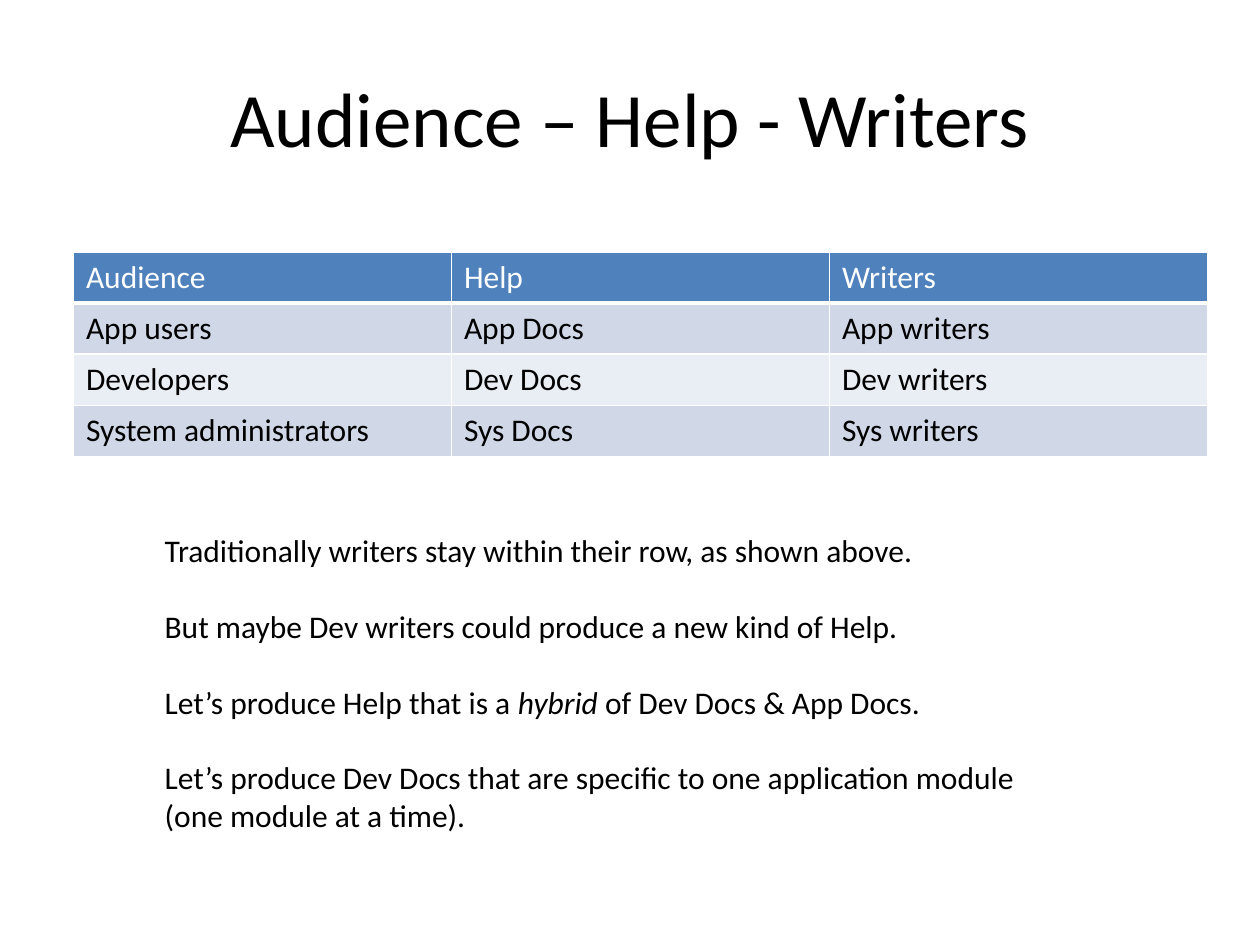
from dataclasses import dataclass

from lxml.etree import SubElement
from pptx import Presentation
from pptx.dml.color import RGBColor as RGB
from pptx.enum.text import MSO_ANCHOR as Anchor, MSO_AUTO_SIZE as AutoSize, PP_ALIGN as Align
from pptx.oxml.ns import qn
from pptx.util import Cm, Pt


@dataclass(frozen=True)
class Theme:
    font: str = "Calibri"
    title_size: float = 44
    body_size: float = 18
    paragraph_gap: float = 21.6
    text: str = "000000"
    header_text: str = "FFFFFF"
    header_fill: str = "4F81BD"
    bands: tuple = ("D0D8E8", "E9EDF4")
    border: str = "FFFFFF"
    border_width: float = 1
    header_rule: float = 3


THEME = Theme()

TITLE = "Audience – Help - Writers"
AUDIENCES = [
    ("Audience", "Help", "Writers"),
    ("App users", "App Docs", "App writers"),
    ("Developers", "Dev Docs", "Dev writers"),
    ("System administrators", "Sys Docs", "Sys writers"),
]
# Each paragraph is a list of (text, italic) runs; \v is a line break.
REMARKS = [
    [("Traditionally writers stay within their row, as shown above.", False)],
    [("But maybe Dev writers could produce a new kind of Help.", False)],
    [("Let’s produce Help that is a ", False), ("hybrid", True),
     (" of Dev Docs & App Docs.", False)],
    [("Let’s produce Dev Docs that are specific to one application module\v"
      "(one module at a time).", False)],
]


def style(p, size, color):
    p.font.name = THEME.font
    p.font.size = Pt(size)
    p.font.color.rgb = RGB.from_string(color)


def add_title(slide, box):
    sp = slide.shapes.title
    sp.left, sp.top, sp.width, sp.height = box
    tf = sp.text_frame
    tf.text = TITLE
    tf.vertical_anchor = Anchor.MIDDLE
    p = tf.paragraphs[0]
    p.alignment = Align.CENTER
    style(p, THEME.title_size, THEME.text)


def set_borders(cell, is_header):
    """Call before filling the cell: the schema puts lines ahead of the fill."""
    tc_pr = cell._tc.get_or_add_tcPr()
    for side in "LRTB":
        thick = is_header and side == "B"
        width = THEME.header_rule if thick else THEME.border_width
        ln = SubElement(tc_pr, qn(f"a:ln{side}"), w=str(Pt(width)))
        fill = SubElement(ln, qn("a:solidFill"))
        SubElement(fill, qn("a:srgbClr"), val=THEME.border)


def add_audience_table(slide, box):
    table = slide.shapes.add_table(len(AUDIENCES), len(AUDIENCES[0]), *box).table
    for i, row in enumerate(AUDIENCES):
        is_header = i == 0
        fill = THEME.header_fill if is_header else THEME.bands[(i - 1) % 2]
        color = THEME.header_text if is_header else THEME.text
        for j, text in enumerate(row):
            cell = table.cell(i, j)
            set_borders(cell, is_header)
            cell.fill.solid()
            cell.fill.fore_color.rgb = RGB.from_string(fill)
            cell.text = text
            p = cell.text_frame.paragraphs[0]
            style(p, THEME.body_size, color)
            p.font.bold = False


def add_remarks(slide, box):
    tf = slide.shapes.add_textbox(*box).text_frame
    tf.word_wrap = True
    tf.auto_size = AutoSize.SHAPE_TO_FIT_TEXT
    for i, runs in enumerate(REMARKS):
        p = tf.add_paragraph() if i else tf.paragraphs[0]
        if i:
            p.space_before = Pt(THEME.paragraph_gap)
        style(p, THEME.body_size, THEME.text)
        for text, italic in runs:
            for k, line in enumerate(text.split("\v")):
                if k:
                    p.add_line_break()
                r = p.add_run()
                r.text = line
                if italic:
                    r.font.italic = True


def main():
    prs = Presentation()
    prs.slide_width, prs.slide_height = Cm(25.4), Cm(19.05)
    slide = prs.slides.add_slide(prs.slide_layouts[5])
    add_title(slide, (Cm(1.27), Cm(0.76), Cm(22.86), Cm(3.18)))
    add_audience_table(slide, (Cm(1.48), Cm(5.08), Cm(22.86), Cm(4.12)))
    add_remarks(slide, (Cm(3.07), Cm(10.59), Cm(19.25), Cm(6.4)))
    prs.save("out.pptx")


if __name__ == "__main__":
    main()
